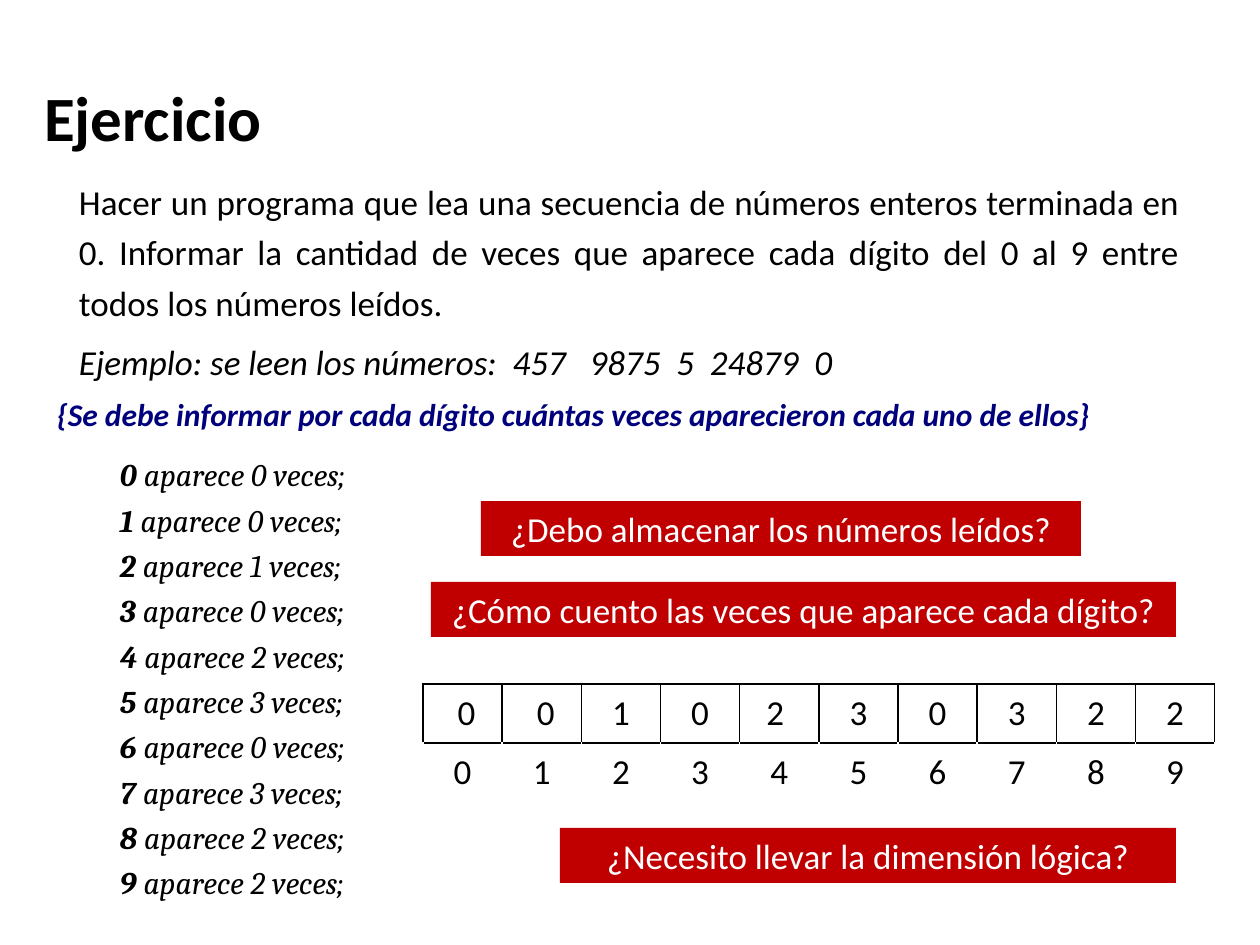
from lxml import etree
from pptx import Presentation
from pptx.dml.color import RGBColor
from pptx.enum.shapes import MSO_SHAPE
from pptx.enum.text import MSO_ANCHOR, PP_ALIGN
from pptx.oxml.ns import qn
from pptx.util import Pt

EMU_PER_PX = 914400 / 126
BLACK = RGBColor(0x00, 0x00, 0x00)
WHITE = RGBColor(0xFF, 0xFF, 0xFF)
NAVY = RGBColor(0x00, 0x00, 0x7D)
RED = RGBColor(0xC0, 0x00, 0x00)
CENTER, JUSTIFY, LEFT = PP_ALIGN.CENTER, PP_ALIGN.JUSTIFY, PP_ALIGN.LEFT
TOP, MIDDLE, BOTTOM = MSO_ANCHOR.TOP, MSO_ANCHOR.MIDDLE, MSO_ANCHOR.BOTTOM
RECTANGLE = MSO_SHAPE.RECTANGLE

DIGIT_COUNTS = [0, 0, 1, 0, 2, 3, 0, 3, 2, 2]
COUNT_CELLS = [" 0", " 0", "1", "0", "2 ", "3", "0", "3", "2", "2"]
QUESTIONS = [
    ("¿Debo almacenar los números leídos?", (481, 501, 600, 55)),
    ("¿Cómo cuento las veces que aparece cada dígito?", (431, 582, 745, 55)),
    ("¿Necesito llevar la dimensión lógica?", (560, 828, 616, 55)),
]


def px(length):
    return round(length * EMU_PER_PX)


def write(paragraph, text, size=20, color=BLACK, font="Calibri", bold=False,
          italic=False, align=LEFT, spacing=1.0, before=0):
    paragraph.alignment = align
    paragraph.line_spacing = spacing
    paragraph.space_before = Pt(before)
    run = paragraph.add_run()
    run.text = text
    run.font.name = font
    run.font.size = Pt(size)
    run.font.color.rgb = color
    run.font.bold = bold
    run.font.italic = italic


class SlideBuilder:
    def __init__(self, slide):
        self.slide = slide

    def text_area(self, left, top, width, height, anchor=TOP, inset_left=13, inset_bottom=6):
        box = self.slide.shapes.add_textbox(px(left), px(top), px(width), px(height))
        frame = box.text_frame
        frame.word_wrap = True
        frame.vertical_anchor = anchor
        frame.margin_left = px(inset_left)
        frame.margin_bottom = px(inset_bottom)
        return frame

    def question(self, text, left, top, width, height):
        banner = self.slide.shapes.add_shape(
            RECTANGLE, px(left), px(top), px(width), px(height))
        banner.shadow.inherit = False
        banner.fill.solid()
        banner.fill.fore_color.rgb = RED
        banner.line.fill.background()
        banner.text_frame.word_wrap = True
        banner.text_frame.vertical_anchor = MIDDLE
        write(banner.text_frame.paragraphs[0], text, color=WHITE, align=CENTER)

    def border(self, cell, colors):
        properties = cell._tc.get_or_add_tcPr()
        for position, (side, color) in enumerate(zip("LRTB", colors)):
            line = etree.Element(qn(f"a:ln{side}"), w=str(Pt(1)))
            fill = etree.SubElement(line, qn("a:solidFill"))
            etree.SubElement(fill, qn("a:srgbClr"), val=str(color))
            properties.insert(position, line)

    def array(self, rows, row_borders, left, top, width, height):
        table = self.slide.shapes.add_table(
            len(rows), len(rows[0]), px(left), px(top), px(width), px(height)).table
        table.first_row = False
        table.horz_banding = False
        for row, (values, colors) in enumerate(zip(rows, row_borders)):
            for column, value in enumerate(values):
                cell = table.cell(row, column)
                cell.fill.background()
                cell.vertical_anchor = MIDDLE
                cell.margin_left = cell.margin_right = px(9)
                cell.margin_top = cell.margin_bottom = 0
                write(cell.text_frame.paragraphs[0], value, align=CENTER)
                self.border(cell, colors)


def main():
    deck = Presentation()
    deck.slide_width, deck.slide_height = px(1260), px(945)
    builder = SlideBuilder(deck.slides.add_slide(deck.slide_layouts[6]))

    statement = builder.text_area(66, 166, 1126, 223)
    write(statement.paragraphs[0],
          "Hacer un programa que lea una secuencia de números enteros terminada en 0. "
          "Informar la cantidad de veces que aparece cada dígito del 0 al 9 entre "
          "todos los números leídos.", align=JUSTIFY, spacing=1.2)
    write(statement.add_paragraph(),
          "Ejemplo: se leen los números:  457   9875  5  24879  0",
          italic=True, align=JUSTIFY, before=10)

    report = builder.text_area(44, 389, 1171, 507)
    write(report.paragraphs[0],
          "{Se debe informar por cada dígito cuántas veces aparecieron cada uno de ellos}",
          size=18, color=NAVY, bold=True, italic=True)
    for digit, count in enumerate(DIGIT_COUNTS):
        entry = report.add_paragraph()
        entry_format = dict(size=18, font="Cambria", italic=True, spacing=1.2,
                            before=0 if digit else 8.5)
        write(entry, f"\t{digit}", bold=True, **entry_format)
        write(entry, f" aparece {count} veces;", **entry_format)

    title = builder.text_area(15, 77, 1177, 91, anchor=BOTTOM, inset_left=29, inset_bottom=14)
    write(title.paragraphs[0], "Ejercicio", size=36, bold=True)

    indexes = [str(digit) for digit in range(len(DIGIT_COUNTS))]
    builder.array([COUNT_CELLS, indexes],
                  [(BLACK,) * 4, (WHITE, WHITE, BLACK, WHITE)], 423, 684, 792, 118)

    for text, area in QUESTIONS:
        builder.question(text, *area)

    deck.save("out.pptx")


if __name__ == "__main__":
    main()
